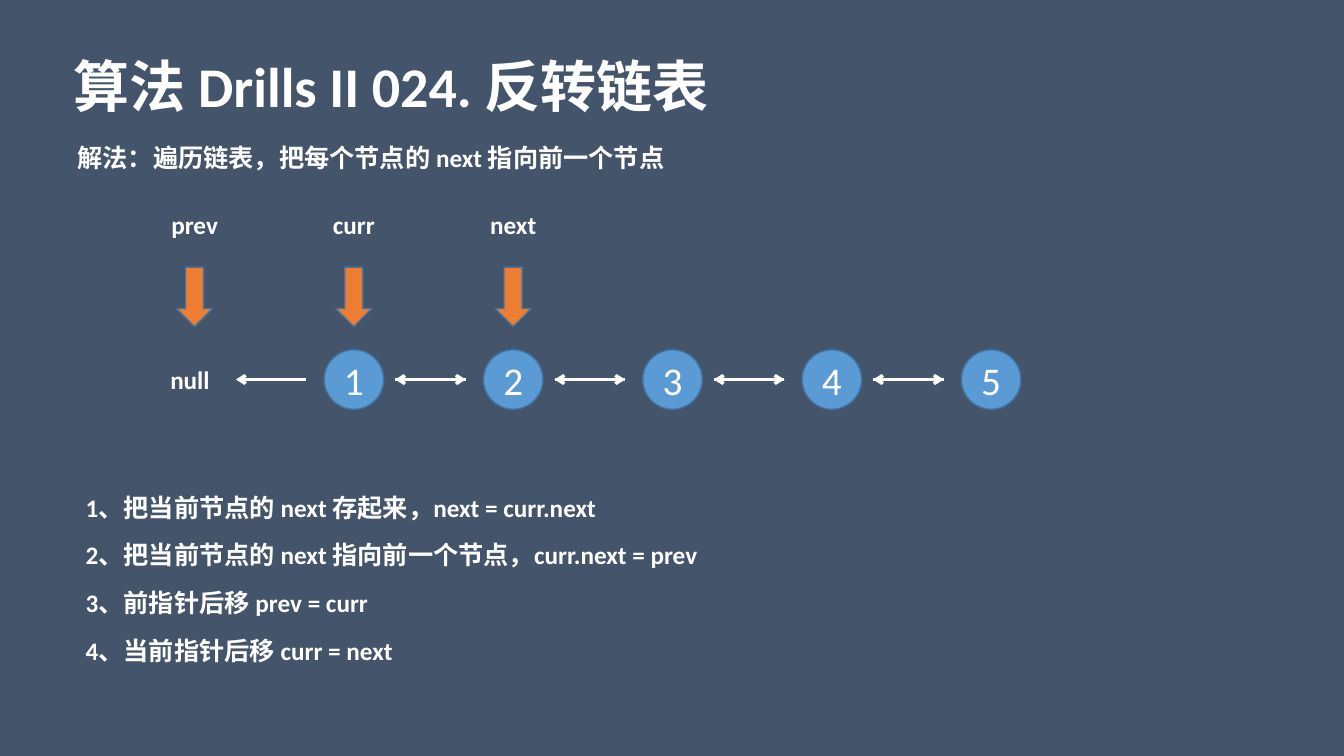
from lxml.etree import SubElement
from pptx import Presentation
from pptx.dml.color import RGBColor
from pptx.enum.shapes import MSO_CONNECTOR as Link, MSO_SHAPE as Shape
from pptx.enum.text import MSO_ANCHOR as Anchor, MSO_AUTO_SIZE as Auto, PP_ALIGN as Align
from pptx.oxml.ns import qn
from pptx.util import Inches, Pt

SLATE = RGBColor(0x44, 0x54, 0x6A)
BLUE = RGBColor(0x5B, 0x9B, 0xD5)
EDGE = RGBColor(0x43, 0x73, 0x9E)
ORANGE = RGBColor(0xED, 0x7D, 0x31)
WHITE = RGBColor(0xFF, 0xFF, 0xFF)

STEPS = (
    "1、把当前节点的 next 存起来，next = curr.next",
    "2、把当前节点的 next 指向前一个节点，curr.next = prev",
    "3、前指针后移 prev = curr",
    "4、当前指针后移 curr = next",
)
COLS = 6
NODE = 0.59


def inch(*box):
    return [Inches(x) for x in box]


def place(shape, box):
    shape.left, shape.top, shape.width, shape.height = inch(*box)


def style(par, size=18, bold=True, align=Align.LEFT):
    par.alignment = align
    par.font.name = "Calibri"
    par.font.size = Pt(size)
    par.font.bold = bold
    par.font.color.rgb = WHITE


def label(shapes, text, box, align=Align.LEFT, wrap=True):
    frame = shapes.add_textbox(*inch(*box)).text_frame
    frame.word_wrap = wrap
    frame.text = text
    style(frame.paragraphs[0], align=align)


def solid(shapes, kind, box, color):
    shape = shapes.add_shape(kind, *inch(*box))
    shape.shadow.inherit = False
    shape.fill.solid()
    shape.fill.fore_color.rgb = color
    shape.line.color.rgb = EDGE
    shape.line.width = Pt(1)
    return shape


def arrow(shapes, start, end, y):
    line = shapes.add_connector(Link.STRAIGHT, *inch(start, y, end, y))
    line.line.color.rgb = WHITE
    line.line.width = Pt(2.25)
    SubElement(line.line._get_or_add_ln(), qn("a:tailEnd"), type="arrow")
    SubElement(line._element.spPr, qn("a:effectLst"))


def node(shapes, text, x, y):
    disc = solid(shapes, Shape.OVAL, (x - NODE / 2, y - NODE / 2, NODE, NODE), BLUE)
    frame = disc.text_frame
    frame.margin_left = frame.margin_right = 0
    frame.margin_top = frame.margin_bottom = 0
    frame.vertical_anchor = Anchor.MIDDLE
    frame.text = text
    style(frame.paragraphs[0], 28, False, Align.CENTER)


def marker(shapes, text, x, top):
    parts = shapes.add_group_shape().shapes
    solid(parts, Shape.DOWN_ARROW, (x - 0.18, top + 0.62, 0.36, 0.59), ORANGE)
    label(parts, text, (x - 0.36, top, 0.72, 0.4), Align.CENTER, False)


def chain(shapes, box):
    left, top, width, height = box
    pitch = width / COLS
    mids = [left + pitch * (i + 0.5) for i in range(COLS)]
    y = top + height - NODE / 2
    for text, x in zip(("prev", "curr", "next"), mids):
        marker(shapes, text, x, top)
    label(shapes, "null", (mids[0] - 0.34, y - 0.2, 0.62, 0.4), wrap=False)
    for i, x in enumerate(mids[1:], 1):
        node(shapes, str(i), x, y)
        start, end = x - pitch + 0.41, x - pitch + 1.11
        if i > 1:
            arrow(shapes, start, end, y)
        arrow(shapes, end, start, y)


def heading(slide, box):
    left, top, width, height = box
    title = slide.shapes.title
    place(title, (left, top, width, 0.77))
    frame = title.text_frame
    frame.word_wrap = False
    frame.auto_size = Auto.NONE
    frame.text = "算法 Drills II 024. 反转链表"
    style(frame.paragraphs[0], 40)
    label(slide.shapes, "解法：遍历链表，把每个节点的 next 指向前一个节点",
          (left + 0.04, top + height - 0.4, width, 0.4))


def steps(slide, box):
    body = slide.placeholders[1]
    place(body, box)
    frame = body.text_frame
    frame.auto_size = Auto.NONE
    frame.text = "\n".join(STEPS)
    for par in frame.paragraphs:
        props = par._p.get_or_add_pPr()
        props.set("marL", "0")
        props.set("indent", "0")
        SubElement(props, qn("a:buNone"))
        par.line_spacing = Pt(34)
        par.space_before = Pt(0)
        style(par)


def main():
    deck = Presentation()
    deck.slide_width, deck.slide_height = inch(13.33, 7.5)
    slide = deck.slides.add_slide(deck.slide_layouts[1])
    slide.background.fill.solid()
    slide.background.fill.fore_color.rgb = SLATE
    heading(slide, (0.63, 0.46, 6.9, 1.3))
    chain(slide.shapes, (1.14, 2.03, 9.48, 2.03))
    steps(slide, (0.75, 4.66, 7.2, 2))
    deck.save("out.pptx")


if __name__ == "__main__":
    main()
